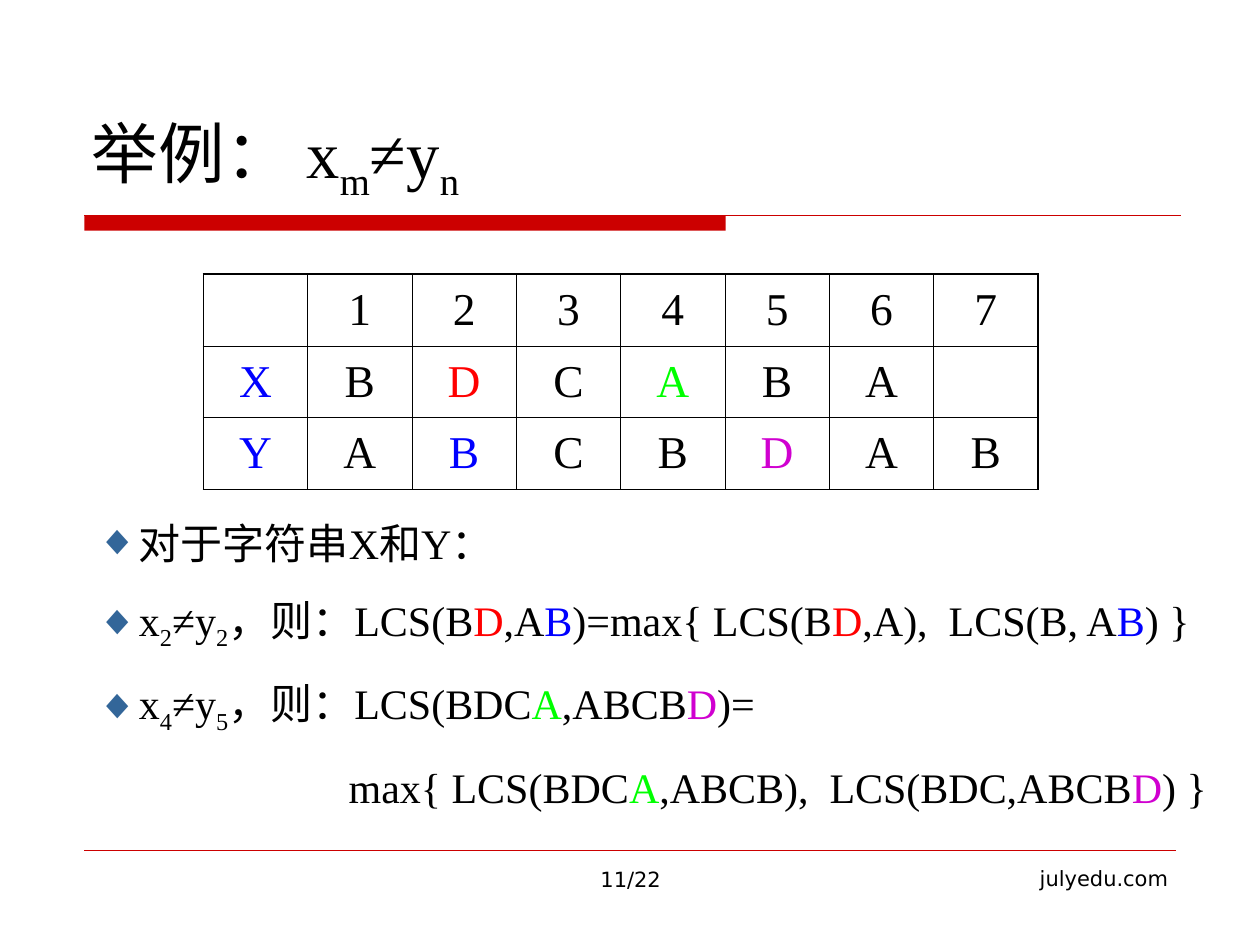
from lxml.etree import SubElement
from pptx import Presentation
from pptx.dml.color import RGBColor
from pptx.enum.shapes import MSO_CONNECTOR as Connector, MSO_SHAPE as Shape
from pptx.enum.text import MSO_ANCHOR as Anchor, MSO_AUTO_SIZE as AutoSize, PP_ALIGN as Align
from pptx.oxml.ns import qn
from pptx.util import Cm, Pt

SERIF, SANS = "Times New Roman", "DejaVu Sans"
BLACK, RULE_RED, BULLET_BLUE = "000000", "CC0000", "336699"
RED, BLUE, GREEN, PURPLE = "FF0000", "0000FF", "00FF00", "D000D0"
SUB = "subscript"

TITLE = [("举例： x",), ("m", SUB), ("≠y",), ("n", SUB)]
SEQUENCES = [
    ["", "1", "2", "3", "4", "5", "6", "7"],
    ["X", "B", "D", "C", "A", "B", "A", ""],
    ["Y", "A", "B", "C", "B", "D", "A", "B"],
]
CELL_COLOURS = {(1, 0): BLUE, (2, 0): BLUE, (1, 2): RED,
                (1, 4): GREEN, (2, 2): BLUE, (2, 5): PURPLE}
# Each line: whether it has a bullet, then its spans
EXAMPLES = [
    (True, [("对于字符串X和Y：",)]),
    (True, [("x",), ("2", SUB), ("≠y",), ("2", SUB), ("，则：LCS(B",), ("D", RED),
            (",A",), ("B", BLUE), (")=max{ LCS(B",), ("D", RED),
            (",A),  LCS(B, A",), ("B", BLUE), (") }",)]),
    (True, [("x",), ("4", SUB), ("≠y",), ("5", SUB), ("，则：LCS(BDC",), ("A", GREEN),
            (",ABCB",), ("D", PURPLE), (")=",)]),
    (False, [("max{ LCS(BDC",), ("A", GREEN), (",ABCB),  LCS(BDC,ABCB",),
             ("D", PURPLE), (") }",)]),
]


def colour(value):
    return RGBColor.from_string(value)


def set_all(target, values):
    for name, value in values.items():
        setattr(target, name, value)


def write_spans(para, spans, size, font=SERIF):
    """Fill a paragraph with spans of (text, optional colour or SUB)."""
    for text, *style in spans:
        mark = style[0] if style else BLACK
        span = para.add_run()
        span.text = text
        set_all(span.font, {"name": font, "size": Pt(size)})
        span.font.color.rgb = colour(BLACK if mark == SUB else mark)
        if mark == SUB:
            span.font._element.set("baseline", "-25000")


def indent(para, left, hanging=0):
    props = para._p.get_or_add_pPr()
    props.set("marL", str(Cm(left)))
    props.set("indent", str(-Cm(hanging)))
    return props


def add_bullet(para):
    props = indent(para, 0.85, 0.85)
    bullet_colour = SubElement(props, qn("a:buClr"))
    SubElement(bullet_colour, qn("a:srgbClr"), val=BULLET_BLUE)
    SubElement(props, qn("a:buFont"), typeface=SERIF)
    SubElement(props, qn("a:buChar"), char="◆")


def add_text_box(page, left, top, width, height):
    box = page.shapes.add_textbox(Cm(left), Cm(top), Cm(width), Cm(height))
    box.text_frame.word_wrap = True
    return box.text_frame


def add_rule(page, left, right, top, weight):
    rule = page.shapes.add_connector(Connector.STRAIGHT, Cm(left), Cm(top), Cm(right), Cm(top))
    rule.line.color.rgb = colour(RULE_RED)
    rule.line.width = Pt(weight)
    SubElement(rule._element.spPr, qn("a:effectLst"))


def add_bar(page, left, top, width, height):
    bar = page.shapes.add_shape(Shape.RECTANGLE, Cm(left), Cm(top), Cm(width), Cm(height))
    bar.shadow.inherit = False
    bar.fill.solid()
    bar.fill.fore_color.rgb = colour(RULE_RED)
    bar.line.fill.background()


def add_title(page):
    title = page.shapes.title
    set_all(title, {"left": Cm(1.6), "top": Cm(0.84), "width": Cm(22.23), "height": Cm(3.38)})
    set_all(title.text_frame, {"vertical_anchor": Anchor.BOTTOM, "word_wrap": True,
                               "auto_size": AutoSize.NONE})
    para = title.text_frame.paragraphs[0]
    para.alignment = Align.LEFT
    write_spans(para, TITLE, 38)


def add_borders(cell, outer_sides):
    props = cell._tc.get_or_add_tcPr()
    for side in "LRTB":
        weight = 1.08 if side in outer_sides else 0.45
        line = SubElement(props, qn(f"a:ln{side}"), w=str(Pt(weight)))
        fill = SubElement(line, qn("a:solidFill"))
        SubElement(fill, qn("a:srgbClr"), val=BLACK)


def add_sequence_table(page):
    rows, cols = len(SEQUENCES), len(SEQUENCES[0])
    table = page.shapes.add_table(rows, cols, Cm(4.1), Cm(5.53), Cm(16.83), Cm(4.34)).table
    set_all(table, {"first_row": False, "horz_banding": False})
    for r, letters in enumerate(SEQUENCES):
        for c, letter in enumerate(letters):
            cell = table.cell(r, c)
            edges = {"L": c == 0, "R": c == cols - 1, "T": r == 0, "B": r == rows - 1}
            add_borders(cell, [side for side, outer in edges.items() if outer])
            cell.fill.background()
            cell.vertical_anchor = Anchor.MIDDLE
            para = cell.text_frame.paragraphs[0]
            para.alignment = Align.CENTER
            if letter:
                write_spans(para, [(letter, CELL_COLOURS.get((r, c), BLACK))], 26)


def add_examples(page):
    frame = add_text_box(page, 1.7, 10.31, 23.01, 6.2)
    for number, (bulleted, spans) in enumerate(EXAMPLES):
        para = frame.add_paragraph() if number else frame.paragraphs[0]
        if number:
            para.space_before = Pt(15)
        if bulleted:
            add_bullet(para)
        else:
            indent(para, 5.08)
        write_spans(para, spans, 24)


def add_footer(page, text, left, top, width, alignment):
    para = add_text_box(page, left, top, width, 1.32).paragraphs[0]
    para.alignment = alignment
    write_spans(para, [(text,)], 12, SANS)


def main():
    deck = Presentation()
    set_all(deck, {"slide_width": Cm(25.4), "slide_height": Cm(19.05)})
    page = deck.slides.add_slide(deck.slide_layouts[5])

    # Title with its rule
    add_bar(page, 1.7, 4.34, 12.93, 0.31)
    add_rule(page, 1.7, 23.8, 4.34, 0.75)
    add_title(page)

    # Two sequences and the worked examples
    add_sequence_table(page)
    add_examples(page)

    # Footer
    add_rule(page, 1.7, 23.7, 17.15, 0.25)
    add_footer(page, "11/22", 8.69, 17.35, 8.05, Align.CENTER)
    add_footer(page, "julyedu.com", 18.29, 17.32, 5.51, Align.RIGHT)

    deck.save("out.pptx")


if __name__ == "__main__":
    main()
